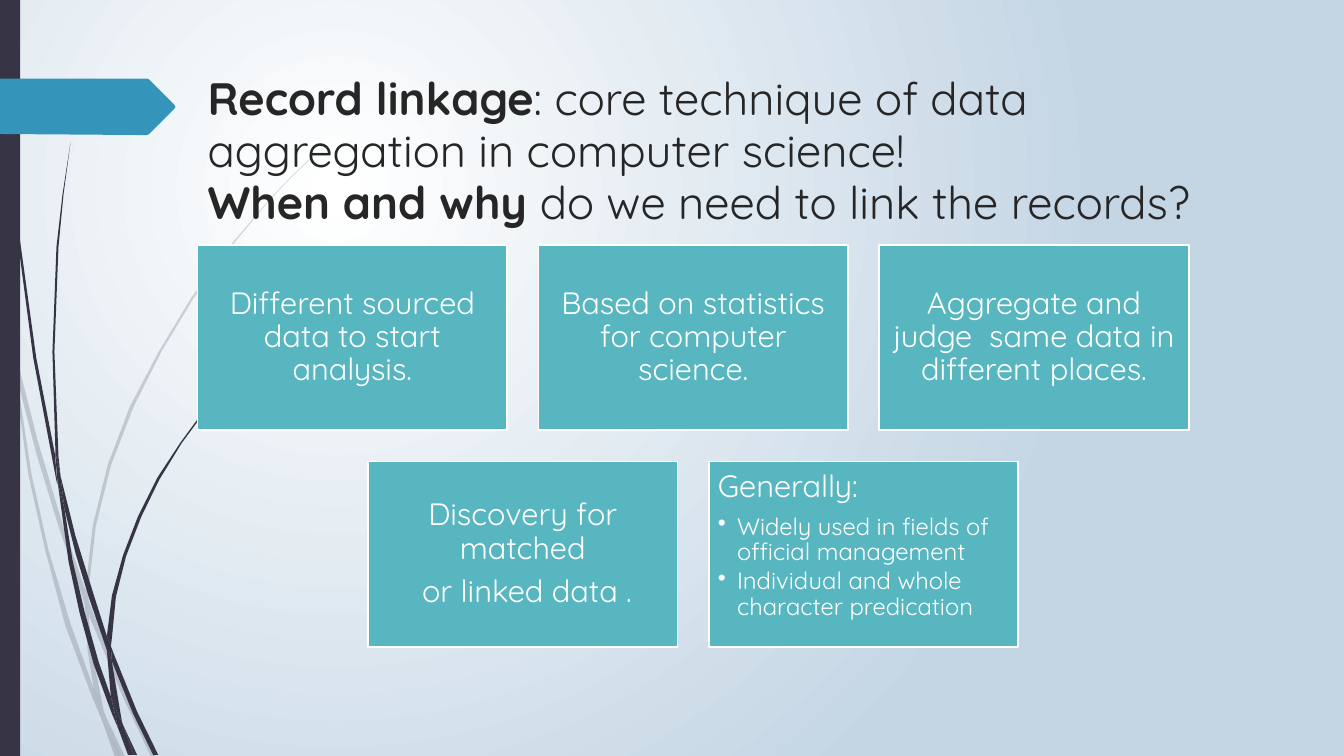
from lxml import etree
from pptx import Presentation
from pptx import util as u
from pptx.dml.color import RGBColor
from pptx.enum import shapes, text
from pptx.oxml import ns

INK = RGBColor(0x37, 0x35, 0x45)
BLUE = RGBColor(0x34, 0x94, 0xBA)
TEAL = RGBColor(0x58, 0xB6, 0xC0)
WHITE = RGBColor(0xFF, 0xFF, 0xFF)
SKY = RGBColor(0xC4, 0xD5, 0xE4)
DARK = RGBColor(0x26, 0x26, 0x26)

# Outlines as x,y points in inches
PALE = [
    "0.11,3.5 0.09,3.22 0,2.82 0,2.99 0.1,3.44",
    "0.58,5.22 0.84,5.99 0.85,5.86 0.62,5.2 0.37,4.36 0.14,3.45 0.17,3.76 0.36,4.5",
    "0.92,6.07 0.88,5.96 0.88,6.1 1.23,6.94 1.5,7.51 1.55,7.51 1.27,6.92",
    "1.19,7.51 1.24,7.51 1.05,7.11",
    "0.93,6.83 0.7,6.19 0.48,5.45 0.31,4.69 0.17,3.76 0.11,3.5 0.28,4.7 0.45,5.46"
    " 0.65,6.21 0.92,6.93 1.01,7.14 0.99,7.07",
    "0.84,5.99 0.87,6.46 0.93,6.83 0.96,6.92 1.05,7.11 1.03,7.06 0.91,6.46 0.88,6.1"
    " 0.88,6.08",
    "0.88,5.84 0.95,5.22 1.1,4.62 1.32,4.05 1.6,3.49 1.92,2.96 2.29,2.45 2.68,1.98"
    " 2.9,1.75 3.12,1.54 3.12,1.53 2.89,1.75 2.68,1.97 2.28,2.44 1.9,2.95 1.58,3.48"
    " 1.29,4.03 1.07,4.61 0.92,5.22 0.85,5.84 0.85,5.86 0.88,5.96",
    "1.01,7.14 1.14,7.51 1.19,7.51",
    "0.88,6.08 0.88,6.1 0.88,5.96 0.85,5.86 0.84,5.99",
    "0.96,6.92 0.93,6.83 0.99,7.07 1.01,7.14 1.19,7.51 1.05,7.11",
]
DEEP = [
    "0.07,1.1 0.17,2.33 0.33,3.55 0.56,4.77 0.57,4.81 0.55,4.57 0.55,4.53 0.36,3.55"
    " 0.19,2.32 0.08,1.09 0.05,0.48 0.04,0 0.03,0 0.04,0.48",
    "0.88,5.92 1.06,6.45 1.06,6.31 0.93,5.9 0.75,5.32 0.6,4.72 0.64,5.05 0.75,5.49",
    "1.13,6.49 1.1,6.41 1.11,6.56 1.32,7.08 1.52,7.49 1.57,7.49 1.36,7.06",
    "1.1,6.91 0.98,6.57 0.84,6.07 0.72,5.56 0.64,5.05 0.57,4.77 0.68,5.57 0.79,6.08"
    " 0.93,6.59 1.11,7.08 1.17,7.22 1.16,7.17",
    "0.6,4.72 0.58,4.53 0.54,3.49 0.58,2.45 0.63,1.93 0.7,1.41 0.62,1.93 0.56,2.45"
    " 0.52,3.49 0.55,4.49",
    "1.33,7.49 1.36,7.49 1.22,7.19",
    "0.57,4.77 0.64,5.05 0.6,4.72 0.55,4.49 0.55,4.53",
    "1.11,6.33 1.15,5.92 1.25,5.52 1.4,5.13 1.58,4.76 1.8,4.4 2.05,4.06 2.31,3.74"
    " 2.45,3.59 2.61,3.44 2.6,3.44 2.45,3.58 2.31,3.73 2.04,4.05 1.79,4.39 1.56,4.74"
    " 1.37,5.12 1.22,5.51 1.11,5.91 1.06,6.31 1.1,6.41",
    "1.17,7.22 1.27,7.49 1.31,7.49",
    "1.06,6.45 1.1,6.91 1.16,7.06 1.22,7.19 1.21,7.16 1.11,6.56 1.09,6.51",
    "1.06,6.45 1.09,6.51 1.11,6.56 1.1,6.41 1.06,6.31",
    "1.16,7.06 1.1,6.91 1.16,7.17 1.17,7.22 1.3,7.49 1.33,7.49 1.22,7.19",
]
ARROW = ("1.73,1.08 1.48,1.33 1.46,1.34 1.36,1.34 0,1.33 0,0.78 1.46,0.78 1.48,0.79"
         " 1.73,1.04 1.74,1.06")

TITLE = [
    ("Record linkage", True),
    (": core technique of data aggregation in computer science!\v", False),
    ("When and why ", True),
    ("do we need to link the records?", False),
]
TOP = [
    "Different sourced data to start analysis.",
    "Based on statistics for computer science.",
    "Aggregate and judge  same data in different places.",
]
USES = ["Widely used in fields of official management",
        "Individual and whole character predication"]


class Deck:
    face = "Quicksand"
    wide, high, step = 3.07, 1.84, 3.38

    def __init__(self):
        self.show = Presentation()
        self.show.slide_width, self.show.slide_height = u.Inches(13.33), u.Inches(7.5)
        self.slide = self.show.slides.add_slide(self.show.slide_layouts[6])

    def glow(self, inner, outer):
        """Fill the background with a round gradient."""
        fill = self.slide.background.fill
        fill.gradient()
        for stop, tone, place in zip(fill.gradient_stops, (inner, outer), (0, 1)):
            stop.color.rgb, stop.position = tone, place
        lin = self.slide.element.find(".//" + ns.qn("a:lin"))
        ring = etree.Element(ns.qn("a:path"), {"path": "circle"})
        etree.SubElement(ring, ns.qn("a:fillToRect"),
                         l="50000", t="50000", r="100000", b="100000")
        lin.getparent().replace(lin, ring)

    def paint(self, shape, tone, edge=None, alpha=None):
        shape.shadow.inherit = False
        shape.fill.solid()
        shape.fill.fore_color.rgb = tone
        if alpha:
            node = shape.element.spPr.find(".//" + ns.qn("a:srgbClr"))
            etree.SubElement(node, ns.qn("a:alpha"), val=str(alpha * 1000))
        if edge is None:
            shape.line.fill.background()
        else:
            shape.line.color.rgb, shape.line.width = edge, u.Pt(1.25)

    def form(self, home, outline, tone, alpha=None):
        """Draw a closed outline in the given shape collection."""
        dots = [tuple(u.Inches(float(n)) for n in dot.split(","))
                for dot in outline.split()]
        pen = home.build_freeform(*dots[0])
        pen.add_line_segments(dots[1:], close=True)
        self.paint(pen.convert_to_shape(), tone, alpha=alpha)

    def wisp(self, strands, alpha=None):
        home = self.slide.shapes.add_group_shape().shapes
        for strand in strands:
            self.form(home, strand, INK, alpha)

    def box(self, x, y, w, h, tone, edge=None):
        shape = self.slide.shapes.add_shape(
            shapes.MSO_SHAPE.RECTANGLE, *map(u.Inches, (x, y, w, h)))
        self.paint(shape, tone, edge)
        return shape

    def font(self, para, size, tone):
        para.font.name, para.font.size = self.face, u.Pt(size)
        para.font.color.rgb = tone

    def title(self, parts):
        frame = self.slide.shapes.add_textbox(
            *map(u.Inches, (1.96, 0.68, 10.62, 1.4))).text_frame
        frame.word_wrap = True
        para = frame.paragraphs[0]
        para.line_spacing = 0.96
        self.font(para, 32.4, DARK)
        for words, bold in parts:
            run = para.add_run()
            run.text = words.rstrip("\v")
            run.font.bold = bold
            if words.endswith("\v"):
                para.add_line_break()

    def card(self, x, y, lines, points=()):
        """Draw a tile; one with bullet points is set from its top left."""
        frame = self.box(x, y, self.wide, self.high, TEAL, WHITE).text_frame
        frame.word_wrap = True
        frame.margin_left = frame.margin_right = u.Inches(0.09)
        frame.margin_top = frame.margin_bottom = u.Inches(0.09)
        frame.vertical_anchor = text.MSO_ANCHOR.TOP if points else text.MSO_ANCHOR.MIDDLE
        for i, words in enumerate([*lines, *points]):
            para = frame.add_paragraph() if i else frame.paragraphs[0]
            para.text = words
            para.alignment = text.PP_ALIGN.LEFT if points else text.PP_ALIGN.CENTER
            para.line_spacing = 0.9
            dot = i >= len(lines)
            para.space_after = u.Pt(2.5 if dot else 7.5)
            if dot:
                self.dot(para)
            self.font(para, 17 if dot else 22, WHITE)

    def dot(self, para):
        para.level = 1
        props = para._p.get_or_add_pPr()
        props.set("marL", str(u.Inches(0.19)))
        props.set("indent", str(-u.Inches(0.19)))
        etree.SubElement(props, ns.qn("a:buChar"), char="•")


def main():
    deck = Deck()
    deck.glow(WHITE, SKY)
    deck.wisp(PALE, alpha=20)
    deck.wisp(DEEP)
    deck.box(0, 0, 0.2, 7.5, INK)
    deck.form(deck.slide.shapes, ARROW, BLUE)
    deck.title(TITLE)
    for i, words in enumerate(TOP):
        deck.card(1.96 + i * deck.step, 2.43, [words])
    low = 1.96 + deck.step / 2
    deck.card(low, 4.58, ["Discovery for matched", " or linked data ."])
    deck.card(low + deck.step, 4.58, ["Generally:"], USES)
    deck.show.save("out.pptx")


if __name__ == "__main__":
    main()
